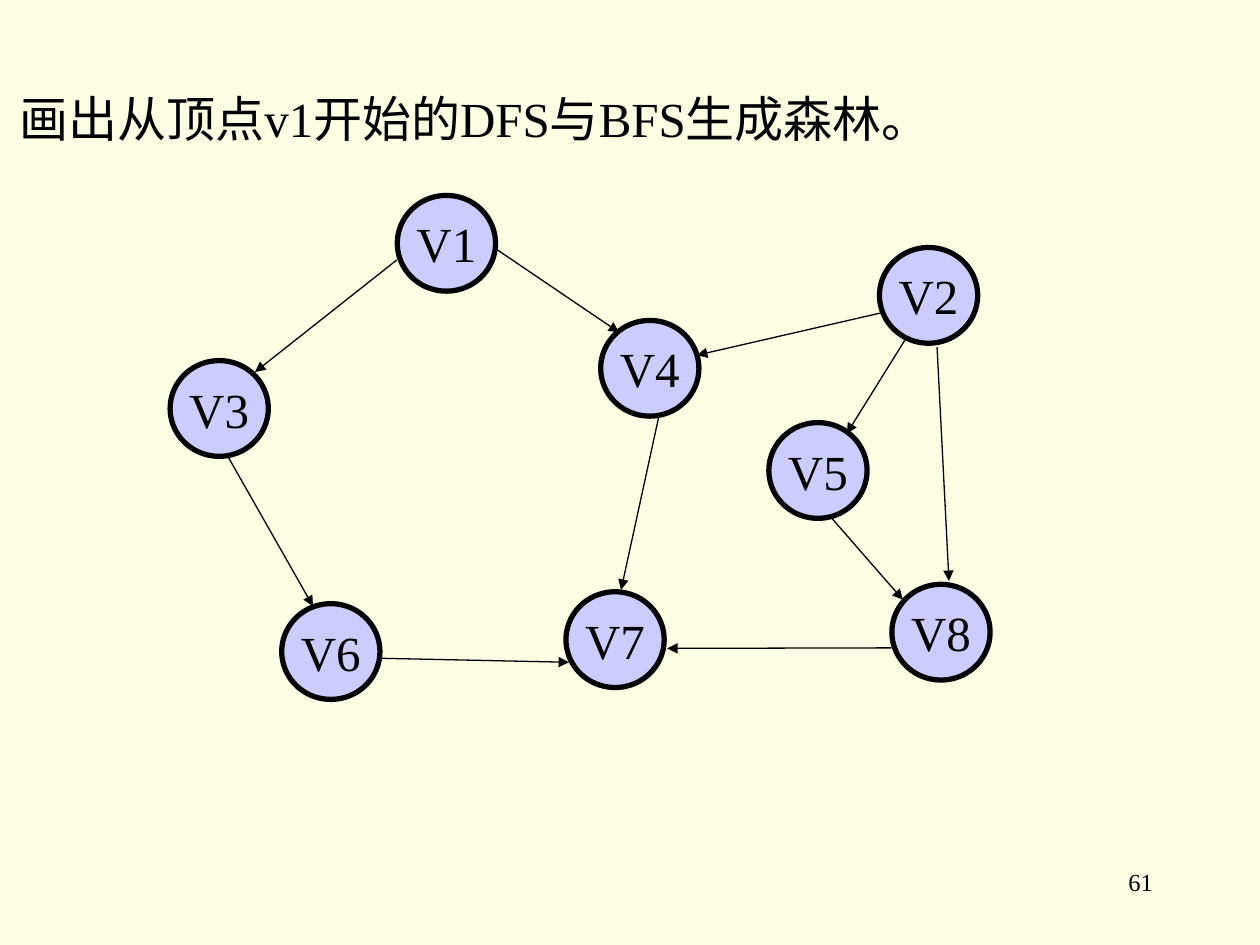
from lxml import etree
from pptx import Presentation
from pptx.dml.color import RGBColor
from pptx.enum.shapes import MSO_CONNECTOR, MSO_SHAPE
from pptx.enum.text import MSO_ANCHOR, MSO_AUTO_SIZE, PP_ALIGN
from pptx.oxml.ns import qn
from pptx.util import Cm, Pt

LEFT, CENTER, RIGHT = PP_ALIGN.LEFT, PP_ALIGN.CENTER, PP_ALIGN.RIGHT
TOP, MIDDLE = MSO_ANCHOR.TOP, MSO_ANCHOR.MIDDLE
FIT_SHAPE = MSO_AUTO_SIZE.SHAPE_TO_FIT_TEXT
OVAL, STRAIGHT = MSO_SHAPE.OVAL, MSO_CONNECTOR.STRAIGHT
FONT = "Times New Roman"
COLORS = {"bg": "FBFEE2", "ink": "000000", "node": "CCCCFF"}
RGB = {name: RGBColor.from_string(code) for name, code in COLORS.items()}
NODE_W, NODE_H = 1.98, 1.93

# Top left corner of each vertex, in cm
VERTICES = {
    "V1": (8.01, 3.94),
    "V2": (17.73, 4.99),
    "V3": (3.43, 7.27),
    "V4": (12.11, 6.46),
    "V5": (15.5, 8.52),
    "V6": (5.68, 12.17),
    "V7": (11.41, 11.93),
    "V8": (17.98, 11.78),
}
# Start and end point of each directed edge, in cm
EDGES = [
    (8, 5.24, 5.14, 7.5),  # V1 to V3
    (10, 5.02, 12.48, 6.7),  # V1 to V4
    (17.75, 6.31, 14.05, 7.16),  # V2 to V4
    (18.24, 6.86, 17.07, 8.74),  # V2 to V5
    (18.89, 7, 19.13, 11.71),  # V2 to V8
    (4.61, 9.23, 6.31, 12.22),  # V3 to V6
    (13.28, 8.4, 12.52, 11.89),  # V4 to V7
    (16.77, 10.45, 18.2, 12.09),  # V5 to V8
    (7.67, 13.27, 11.47, 13.35),  # V6 to V7
    (17.97, 13.06, 13.45, 13.07),  # V8 to V7
]


def write(sp, text, size=28, align=LEFT, anchor=TOP, wrap=False):
    tf = sp.text_frame
    tf.word_wrap = wrap
    tf.vertical_anchor = anchor
    p = tf.paragraphs[0]
    p.alignment = align
    r = p.add_run()
    r.text = text
    r.font.name = FONT
    r.font.size = Pt(size)
    r.font.color.rgb = RGB["ink"]


prs = Presentation()
prs.slide_width, prs.slide_height = Cm(25.4), Cm(19.05)
s = prs.slides.add_slide(prs.slide_layouts[6])
s.background.fill.solid()
s.background.fill.fore_color.rgb = RGB["bg"]

title = s.shapes.add_textbox(Cm(0.15), Cm(1.65), Cm(20.29), Cm(1.45))
write(title, "画出从顶点v1开始的DFS与BFS生成森林。")
title.text_frame.auto_size = FIT_SHAPE

number = s.shapes.add_textbox(Cm(18.21), Cm(17.35), Cm(5.28), Cm(1.27))
write(number, "61", size=14, align=RIGHT, wrap=True)

for name, (x, y) in VERTICES.items():
    sp = s.shapes.add_shape(OVAL, Cm(x), Cm(y), Cm(NODE_W), Cm(NODE_H))
    sp.shadow.inherit = False
    sp.fill.solid()
    sp.fill.fore_color.rgb = RGB["node"]
    sp.line.color.rgb = RGB["ink"]
    sp.line.width = Pt(3)
    write(sp, name, align=CENTER, anchor=MIDDLE)

for points in EDGES:
    edge = s.shapes.add_connector(STRAIGHT, *map(Cm, points))
    edge.line.color.rgb = RGB["ink"]
    edge.line.width = Pt(0.75)
    ln = edge.line._get_or_add_ln()
    etree.SubElement(ln, qn("a:tailEnd"), type="triangle")
    etree.SubElement(edge._element.spPr, qn("a:effectLst"))

prs.save("out.pptx")
